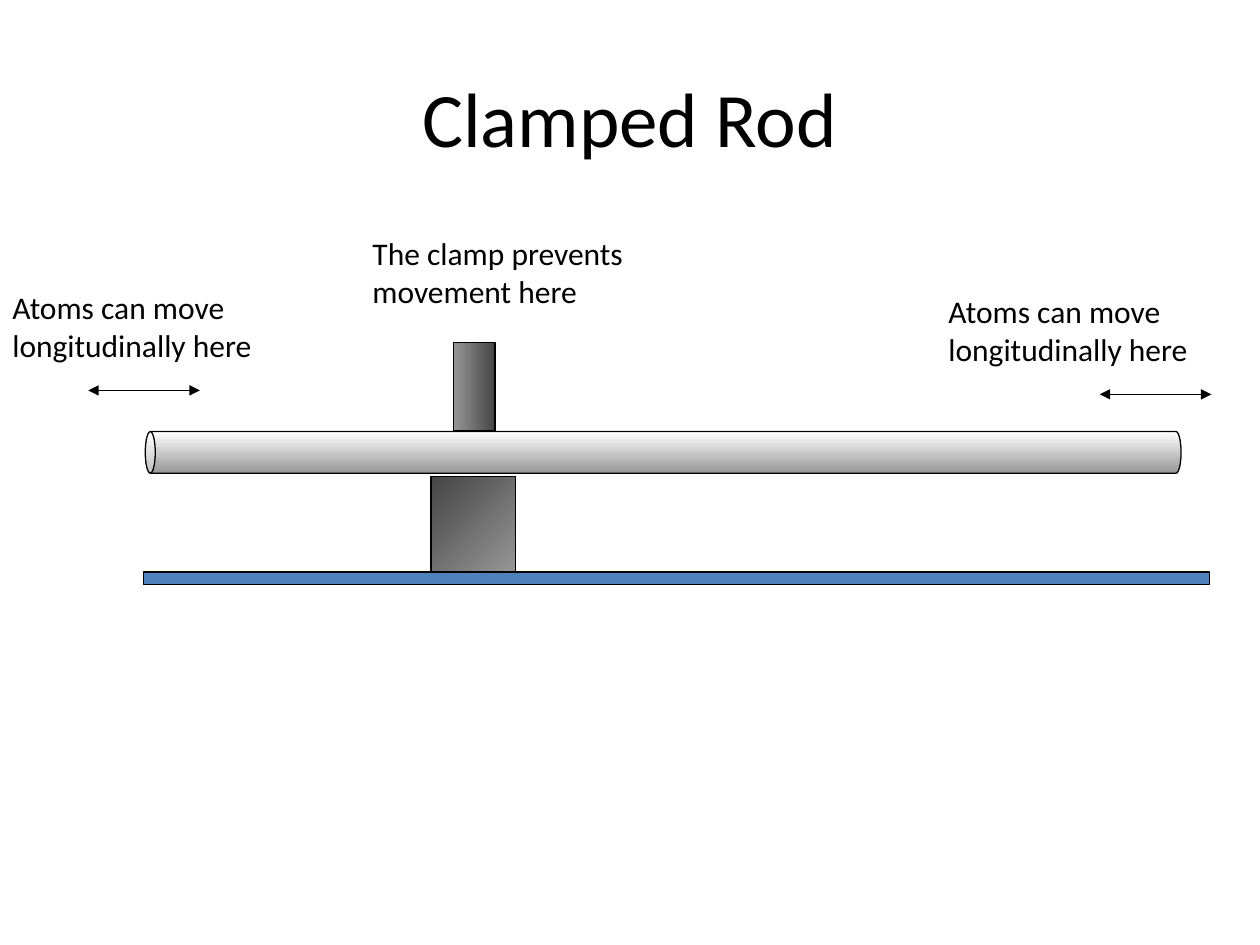
from pptx import Presentation
from pptx.dml.color import RGBColor
from pptx.enum.shapes import MSO_CONNECTOR as CONN, MSO_SHAPE as SHAPE
from pptx.enum.text import MSO_ANCHOR as ANCHOR, MSO_AUTO_SIZE as AUTO, PP_ALIGN as ALIGN
from pptx.oxml.ns import qn
from pptx.util import Cm, Pt
from lxml.etree import SubElement

BLACK = RGBColor(0x00, 0x00, 0x00)
WHITE = RGBColor(0xFF, 0xFF, 0xFF)
GREY = RGBColor(0x96, 0x96, 0x96)
DARK = RGBColor(0x45, 0x45, 0x45)
BLUE = RGBColor(0x4F, 0x81, 0xBD)

ENDS = "Atoms can move longitudinally here"
LABEL_W, LABEL_H = 6.53, 1.78
ARROW_W = 2.25


def set_attrs(obj, fmt):
    """Set each attribute of obj from a dict of values."""
    for name, value in fmt.items():
        setattr(obj, name, value)


def outline(s):
    """Give a shape or connector a thin black line."""
    s.line.color.rgb = BLACK
    s.line.width = Pt(0.75)


def add_part(slide, kind, x, y, w, h, colors, angle=0):
    """Add an outlined part with a solid or two-colour gradient fill."""
    s = slide.shapes.add_shape(kind, Cm(x), Cm(y), Cm(w), Cm(h))
    s.shadow.inherit = False
    outline(s)
    if len(colors) == 1:
        s.fill.solid()
        s.fill.fore_color.rgb = colors[0]
    else:
        s.fill.gradient()
        s.fill.gradient_angle = angle
        for stop, color, pos in zip(s.fill.gradient_stops, colors, (0, 1)):
            stop.color.rgb = color
            stop.position = pos
    return s


def add_arrow(slide, x, y, w):
    """Add a horizontal double-headed arrow."""
    c = slide.shapes.add_connector(CONN.STRAIGHT, Cm(x), Cm(y), Cm(x + w), Cm(y))
    outline(c)
    ln = c.line._get_or_add_ln()
    for end in ("a:headEnd", "a:tailEnd"):
        SubElement(ln, qn(end), type="triangle")
    SubElement(c._element.spPr, qn("a:effectLst"))


def add_label(slide, x, y, text):
    """Add a wrapped text label."""
    tf = slide.shapes.add_textbox(Cm(x), Cm(y), Cm(LABEL_W), Cm(LABEL_H)).text_frame
    set_attrs(tf, {"word_wrap": True, "auto_size": AUTO.SHAPE_TO_FIT_TEXT})
    r = tf.paragraphs[0].add_run()
    r.text = text
    set_attrs(r.font, {"name": "Calibri", "size": Pt(18)})
    r.font.color.rgb = BLACK


def add_title(slide, x, y, w, h):
    """Place and format the title placeholder."""
    s = slide.shapes.title
    set_attrs(s, {"left": Cm(x), "top": Cm(y), "width": Cm(w), "height": Cm(h)})
    s.text_frame.vertical_anchor = ANCHOR.MIDDLE
    p = s.text_frame.paragraphs[0]
    p.alignment = ALIGN.CENTER
    r = p.add_run()
    r.text = "Clamped Rod"
    set_attrs(r.font, {"name": "Calibri", "size": Pt(44)})
    r.font.color.rgb = BLACK


def add_apparatus(slide, x, y):
    """Draw the rod, the two clamp jaws and the bench."""
    length, thick = 20.88, 0.84
    shift = (length - thick) / 2
    rod = add_part(slide, SHAPE.CAN, x + 0.03 + shift, y + 1.79 - shift,
                   thick, length, (GREY, WHITE))
    rod.rotation = 270
    rod.adjustments[0] = 0.24
    add_part(slide, SHAPE.RECTANGLE, x + 6.24, y, 0.84, 1.78, (GREY, DARK))
    add_part(slide, SHAPE.RECTANGLE, x + 5.79, y + 2.69, 1.7, 1.93, (DARK, GREY), 315)
    add_part(slide, SHAPE.RECTANGLE, x, y + 4.62, 21.49, 0.25, (BLUE,))


def add_moving_end(slide, x, y, arrow_x):
    """Label a free end of the rod, with its arrow below."""
    add_label(slide, x, y, ENDS)
    add_arrow(slide, x + arrow_x, y + 2.18, ARROW_W)


def main():
    """Build and save the slide."""
    prs = Presentation()
    set_attrs(prs, {"slide_width": Cm(25.4), "slide_height": Cm(19.05)})
    slide = prs.slides.add_slide(prs.slide_layouts[5])
    add_title(slide, 1.27, 0.76, 22.86, 3.18)
    add_apparatus(slide, 2.9, 6.91)
    add_moving_end(slide, 0, 5.69, 1.78)
    add_label(slide, 7.26, 4.6, "The clamp prevents movement here")
    add_moving_end(slide, 18.87, 5.77, 3.3)
    prs.save("out.pptx")


if __name__ == "__main__":
    main()
